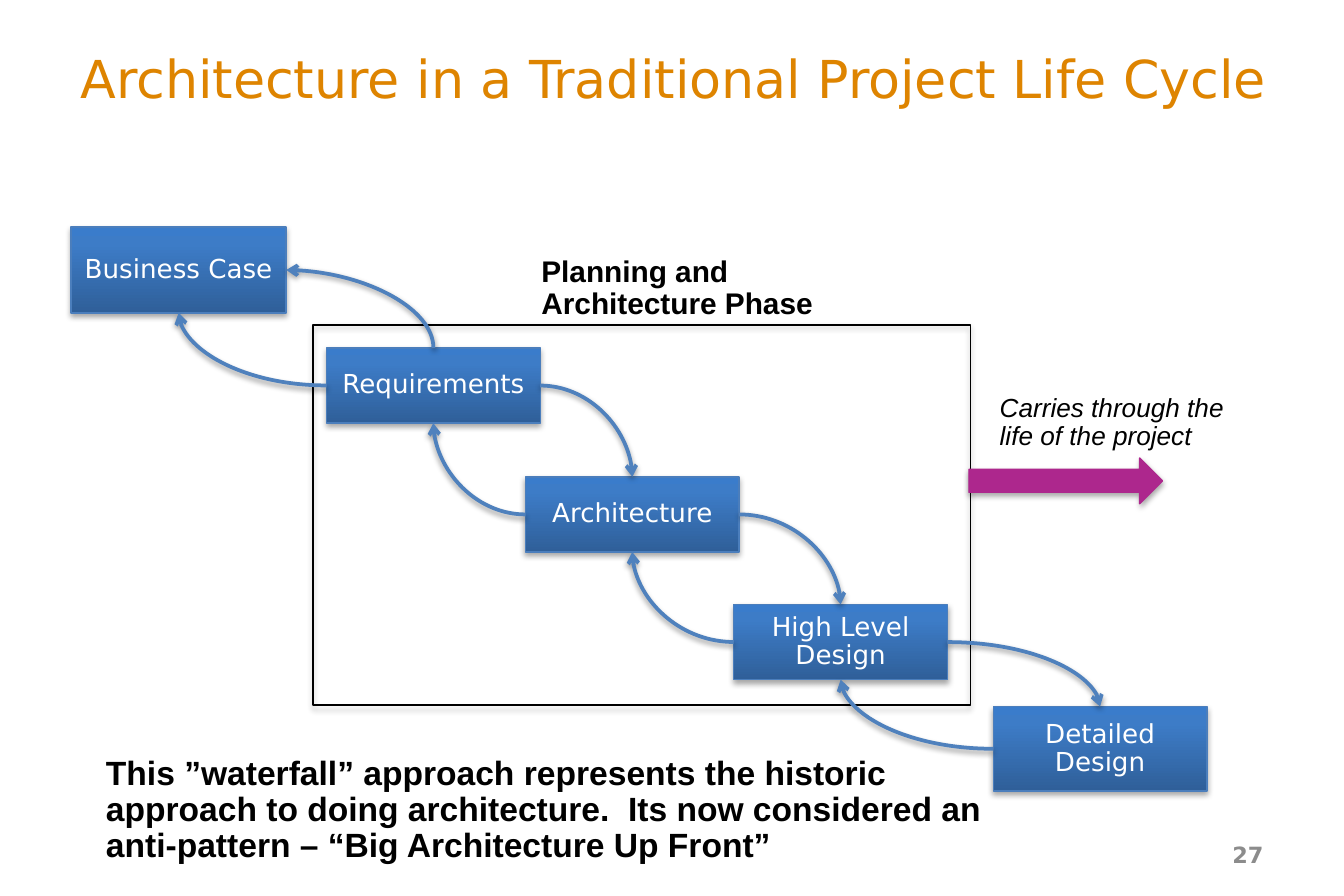
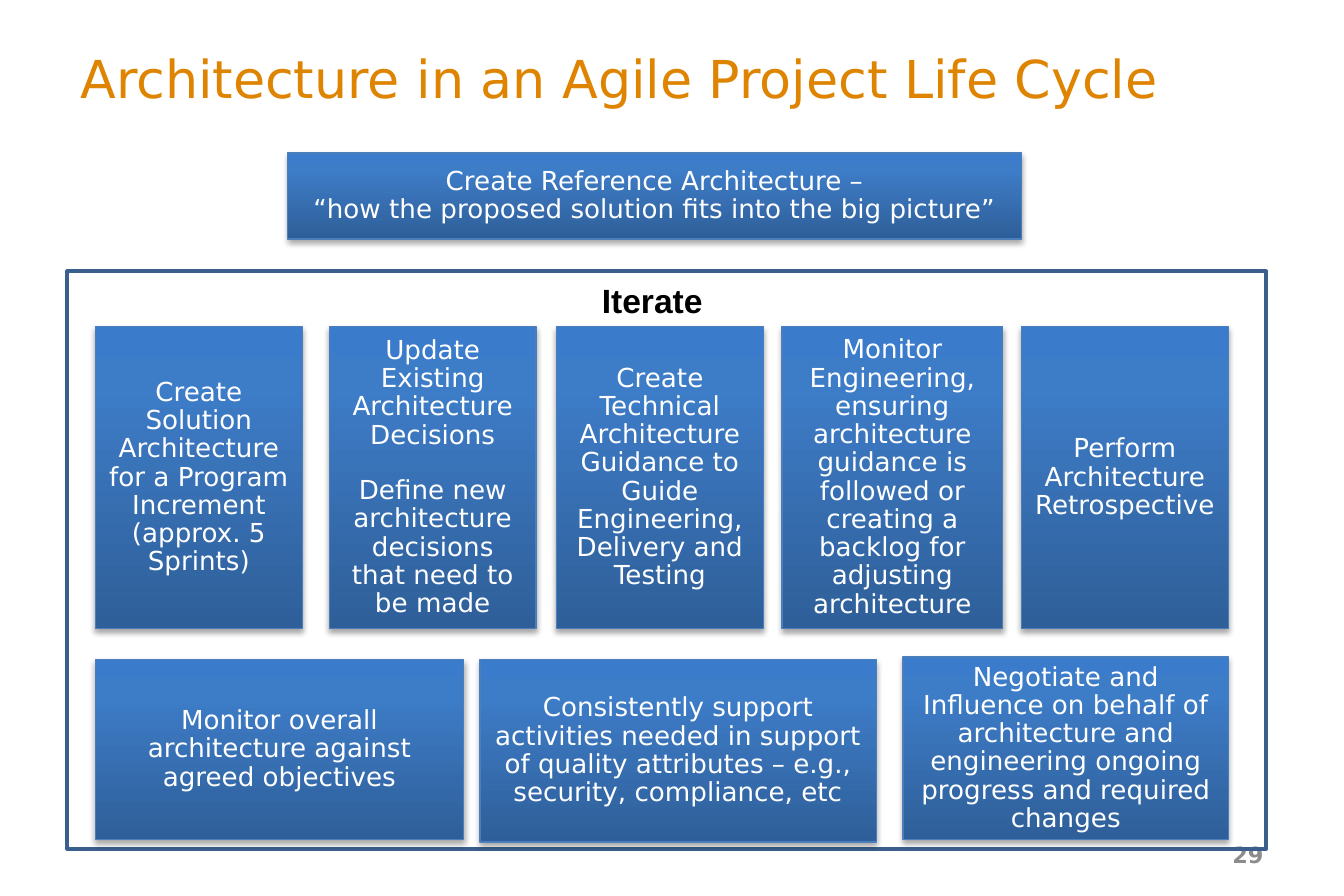
import copy
from dataclasses import dataclass

import pptx
import pptx.dml.color
import pptx.enum.shapes
import pptx.enum.text
import pptx.oxml
import pptx.oxml.ns
import pptx.util

Inches = pptx.util.Inches
Pt = pptx.util.Pt
RGBColor = pptx.dml.color.RGBColor
SHAPE = pptx.enum.shapes.MSO_SHAPE
ALIGN = pptx.enum.text.PP_ALIGN
ANCHOR = pptx.enum.text.MSO_ANCHOR

ORANGE = RGBColor(0xDE, 0x84, 0x00)
BLACK = RGBColor(0x00, 0x00, 0x00)
WHITE = RGBColor(0xFF, 0xFF, 0xFF)
GRAY = RGBColor(0x8C, 0x8C, 0x8C)
PURPLE = RGBColor(0xAD, 0x27, 0x8D)
BLUE_EDGE = RGBColor(0x4B, 0x7E, 0xBC)
BLUE_CURVE = RGBColor(0x4F, 0x81, 0xBD)
BLUE_FRAME = RGBColor(0x3A, 0x5F, 0x8C)
BLUE_STOPS = [
    (0, RGBColor(0x2F, 0x5F, 0x99)),
    (0.8, RGBColor(0x3D, 0x7C, 0xC7)),
    (1, RGBColor(0x3A, 0x7C, 0xCB)),
]

HEADING_FONT = "DejaVu Sans"
NOTE_FONT = "Arial"
TOP, LEFT, BOTTOM, RIGHT = range(4)  # connection sites of a rectangle


@dataclass
class Box:
    left: float
    top: float
    width: float
    height: float

    def inner(self, left, top, width, height):
        return Box(self.left + left, self.top + top, width, height)

    def lengths(self):
        return [Inches(value) for value in (self.left, self.top, self.width, self.height)]


# ---- Shared parts ----
def write(frame, text, size, color, font=HEADING_FONT, bold=False, italic=False,
          align=ALIGN.LEFT, anchor=ANCHOR.TOP, spacing=0.9, wrap=True):
    """Blank lines in the text part paragraphs; single breaks part lines."""
    frame.word_wrap = wrap
    frame.vertical_anchor = anchor
    for index, block in enumerate(text.split("\n\n")):
        para = frame.add_paragraph() if index else frame.paragraphs[0]
        para.alignment = align
        para.line_spacing = spacing
        if index:
            para.space_before = Pt(14.7)
        for number, line in enumerate(block.split("\n")):
            if number:
                para.add_line_break()
            span = para.add_run()
            span.text = line
            span.font.name = font
            span.font.size = Pt(size)
            span.font.color.rgb = color
            span.font.bold = bold
            span.font.italic = italic


def add_text(page, box, text, size, color, **style):
    label = page.shapes.add_textbox(*box.lengths())
    write(label.text_frame, text, size, color, **style)


def add_note(page, box, text, size, **style):
    add_text(page, box, text, size, BLACK, font=NOTE_FONT, **style)


def cast_shadow(shape, opacity=35, distance=23000):
    properties = shape._element.spPr
    for effects in properties.findall(pptx.oxml.ns.qn("a:effectLst")):
        properties.remove(effects)
    properties.append(pptx.oxml.parse_xml(
        f'<a:effectLst {pptx.oxml.ns.nsdecls("a")}>'
        f'<a:outerShdw blurRad="40000" dist="{distance}" dir="5400000" rotWithShape="0">'
        f'<a:srgbClr val="000000"><a:alpha val="{opacity * 1000}"/></a:srgbClr>'
        '</a:outerShdw></a:effectLst>'))


def add_outline(page, box, color, weight):
    outline = page.shapes.add_shape(SHAPE.RECTANGLE, *box.lengths())
    outline.shadow.inherit = False
    outline.fill.background()
    outline.line.color.rgb = color
    outline.line.width = Pt(weight)
    return outline


def add_activity(page, box, text):
    """Blue shaded rectangle with white centred text."""
    activity = page.shapes.add_shape(SHAPE.RECTANGLE, *box.lengths())
    fill = activity.fill
    fill.gradient()
    fill.gradient_angle = 90
    stop_list = activity._element.spPr.find(".//" + pptx.oxml.ns.qn("a:gsLst"))
    stop_list.append(copy.deepcopy(stop_list[0]))
    for stop, (position, color) in zip(fill.gradient_stops, BLUE_STOPS):
        stop.position = position
        stop.color.rgb = color
    activity.line.color.rgb = BLUE_EDGE
    activity.line.width = Pt(0.75)
    cast_shadow(activity)
    write(activity.text_frame, text, 14, WHITE, align=ALIGN.CENTER, anchor=ANCHOR.MIDDLE)
    return activity


def add_page(deck, title, number):
    page = deck.slides.add_slide(deck.slide_layouts[6])
    add_text(page, Box(0.5, 0.24, 9.38, 0.67), title, 28, ORANGE,
             anchor=ANCHOR.MIDDLE, spacing=1.0)
    add_text(page, Box(7.17, 6.18, 2.33, 0.36), str(number), 12, GRAY, bold=True,
             align=ALIGN.RIGHT, anchor=ANCHOR.MIDDLE, spacing=1.0)
    return page


# ---- Waterfall ----
def add_curve(page, side_step, side, end_step, end, arrow):
    """Leave one step sideways and meet the other at its top or bottom."""
    curve = page.shapes.add_connector(pptx.enum.shapes.MSO_CONNECTOR.CURVE, 0, 0, 0, 0)
    curve.begin_connect(side_step, side)
    curve.end_connect(end_step, end)
    properties = curve._element.spPr
    properties.find(pptx.oxml.ns.qn("a:prstGeom")).set("prst", "curvedConnector2")
    curve.line.color.rgb = BLUE_CURVE
    curve.line.width = Pt(2)
    curve.line._get_or_add_ln().append(pptx.oxml.parse_xml(
        f'<a:{arrow} {pptx.oxml.ns.nsdecls("a")} type="arrow"/>'))
    cast_shadow(curve, 38, 20000)


def add_waterfall(page, box):
    layout = [
        ("Business Case", 0, 0, 1.6, 0.64),
        ("Requirements", 1.9, 0.9, 1.59, 0.56),
        ("Architecture", 3.38, 1.86, 1.59, 0.56),
        ("High Level Design", 4.93, 2.81, 1.59, 0.56),
        ("Detailed Design", 6.86, 3.57, 1.59, 0.63),
    ]
    steps = [add_activity(page, box.inner(*place), text) for text, *place in layout]
    for index, (upper, lower) in enumerate(zip(steps, steps[1:])):
        # The first pair circles the other way round
        arrow = "tailEnd" if index else "headEnd"
        add_curve(page, upper, RIGHT, lower, TOP, arrow)
        add_curve(page, lower, LEFT, upper, BOTTOM, "tailEnd")


def add_phase(page, box):
    cast_shadow(add_outline(page, box, BLACK, 0.75))
    add_note(page, box.inner(1.6, -0.56, 2.51, 0.59),
             "Planning and Architecture Phase", 16, bold=True)


def add_carry_over(page, box):
    add_note(page, box.inner(0.13, 0, 2.07, 0.53),
             "Carries through the life of the project", 14, italic=True)
    arrow = page.shapes.add_shape(SHAPE.RIGHT_ARROW, *box.inner(0, 0.52, 1.44, 0.34).lengths())
    arrow.fill.solid()
    arrow.fill.fore_color.rgb = PURPLE
    arrow.line.color.rgb = PURPLE
    arrow.line.width = Pt(0.75)
    cast_shadow(arrow)


def build_traditional(deck):
    page = add_page(deck, "Architecture in a Traditional Project Life Cycle", 27)
    add_phase(page, Box(2.33, 2.42, 4.89, 2.83))
    add_waterfall(page, Box(0.53, 1.69, 8.45, 4.2))
    add_carry_over(page, Box(7.21, 2.89, 2.2, 0.86))
    add_note(page, Box(0.69, 5.58, 6.78, 0.92),
             "This ”waterfall” approach represents the historic\n"
             "approach to doing architecture.  Its now considered an\n"
             "anti-pattern – “Big Architecture Up Front”", 18, bold=True, wrap=False)


# ---- Agile iteration ----
def add_iteration(page, box):
    add_outline(page, box, BLUE_FRAME, 2)
    add_note(page, box.inner(3.88, 0.05, 0.96, 0.38), "Iterate", 18, bold=True, wrap=False)
    # Steps in sequence: left, width, text
    sequence = [
        (0.21, 1.54, "Create Solution Architecture for a Program Increment\n(approx. 5 Sprints)"),
        (1.95, 1.54, "Update Existing Architecture Decisions\n\n"
                     "Define new architecture decisions that need to be made"),
        (3.64, 1.54, "Create Technical Architecture Guidance to Guide Engineering, "
                     "Delivery and Testing"),
        (5.32, 1.64, "Monitor Engineering, ensuring architecture guidance is followed "
                     "or creating a backlog for adjusting architecture"),
        (7.1, 1.54, "Perform Architecture Retrospective"),
    ]
    for left, width, text in sequence:
        add_activity(page, box.inner(left, 0.41, width, 2.25), text)
    # Ongoing work: place, text
    ongoing = [
        ((0.21, 2.89, 2.74, 1.34), "Monitor overall architecture against agreed objectives"),
        ((3.07, 2.89, 2.95, 1.36), "Consistently support activities needed in support of "
                                   "quality attributes – e.g., security, compliance, etc"),
        ((6.22, 2.87, 2.42, 1.36), "Negotiate and Influence on behalf of architecture and "
                                   "engineering ongoing progress and required changes"),
    ]
    for place, text in ongoing:
        add_activity(page, box.inner(*place), text)


def build_agile(deck):
    page = add_page(deck, "Architecture in an Agile Project Life Cycle", 29)
    add_activity(page, Box(2.14, 1.14, 5.46, 0.64),
                 "Create Reference Architecture –\n"
                 "“how the proposed solution fits into the big picture”")
    add_iteration(page, Box(0.5, 2.02, 8.92, 4.3))


def main():
    deck = pptx.Presentation()
    deck.slide_width = Inches(10)
    deck.slide_height = Inches(6.67)
    build_traditional(deck)
    build_agile(deck)
    deck.save("out.pptx")


if __name__ == "__main__":
    main()
